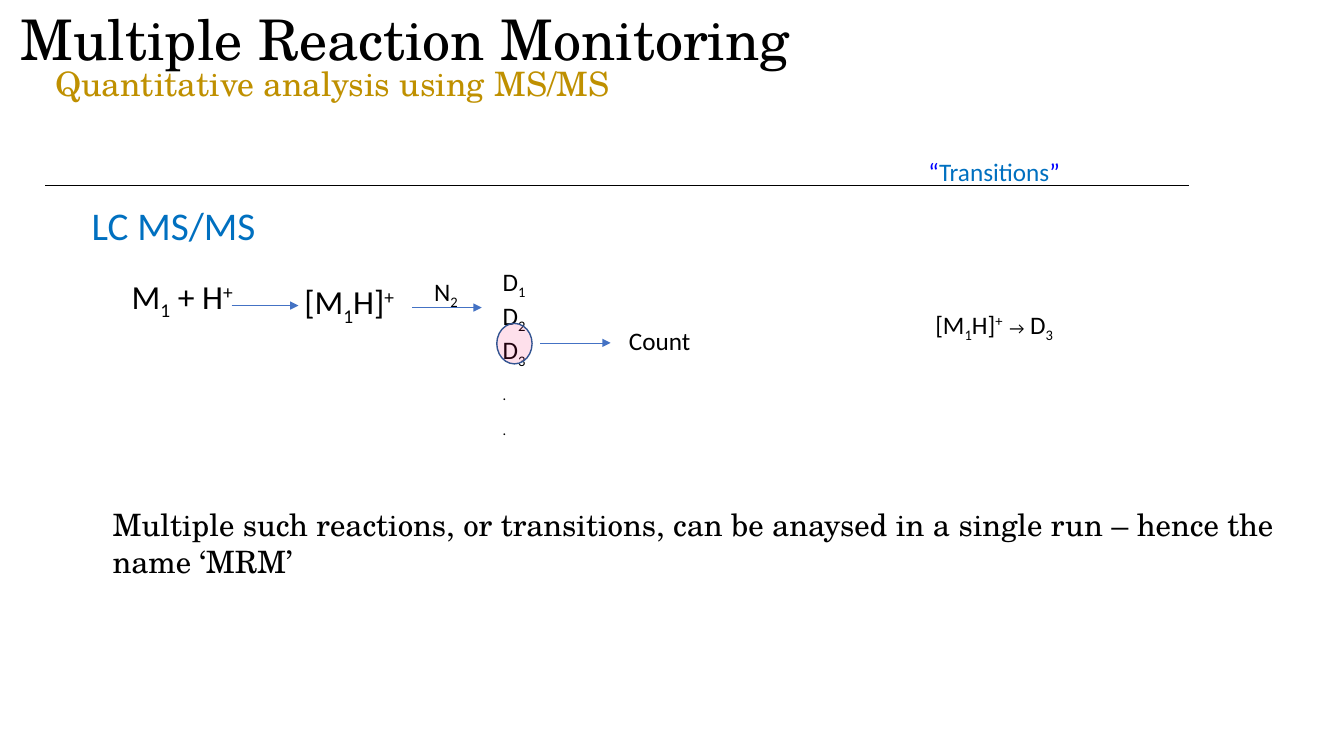
from pptx import Presentation, util as u
from pptx.dml.color import RGBColor
from pptx.enum import shapes, text
from pptx.oxml.ns import qn
from lxml import etree

COLORS = {"ink": "000000", "gold": "BF9000", "blue": "0070C0", "quote": "0000FF",
          "arrow": "4472C4", "ring": "325491", "pink": "F81068"}
SERIF, SANS = "TeX Gyre Schola", "Calibri"
SUB, SUP = {"base": -25}, {"base": 30}

# Content: a paragraph is a list of runs, each (text, format)
ION = [("[M", {}), ("1", SUB), ("H]", {})]
DAUGHTERS = [[("D", {}), (n, SUB)] for n in "123"] + [[(".", SUB)]] * 2
TRANSITIONS = [("“", {"color": "quote"}), ("Transitions", {"color": "blue"}),
               ("”", {"color": "quote"})]
MRM_PAIR = ION + [("+  ", SUP), ("→", {"size": 12}), (" D", {}), ("3", SUB)]

# (left, top, width, height) in cm, paragraphs, format
TEXTS = [
    ((0.28, 0, 21.72, 1.96), [[("Multiple Reaction Monitoring", {})]],
     {"size": 40, "font": SERIF}),
    ((1.14, 1.47, 17.07, 1.27), [[("Quantitative analysis using MS/MS", {})]],
     {"size": 24, "font": SERIF, "color": "gold"}),
    ((2.06, 5.08, 5.74, 1.35), [[("LC MS/MS", {})]],
     {"size": 28, "color": "blue", "spacing": 0.9, "before": 10}),
    ((3.07, 6.83, 3.53, 1.27), [[("M", {}), ("1", SUB), (" + H", {}), ("+", SUP)]],
     {"size": 24}),
    ((7.42, 6.96, 3.07, 1.27), [ION + [("+", SUP)]], {"size": 24}),
    ((10.69, 6.83, 1.14, 1.02), [[("N", {}), ("2", SUB)]], {"wrap": False}),
    ((12.42, 6.58, 1.12, 4.37), DAUGHTERS, {"wrap": False}),
    ((15.6, 8.08, 2.64, 1.02), [[("Count", {})]], {}),
    ((23.11, 3.81, 3.89, 1.02), [TRANSITIONS], {"center": True, "wrap": False}),
    ((23.11, 7.67, 3.89, 1.02), [MRM_PAIR], {"center": True, "wrap": False}),
    ((2.59, 12.62, 29.85, 4.01),
     [[("Multiple such reactions, or transitions, can be anaysed in a single run – "
        "hence the name ‘MRM’", {})]], {"size": 22, "font": SERIF}),
]

# Horizontal lines: start x, end x, y in cm, colour, arrowhead
LINES = [(1.14, 29.97, 4.67, "ink", False),
         (5.84, 7.52, 7.7, "arrow", True),
         (10.39, 12.14, 7.75, "arrow", True),
         (13.61, 15.39, 8.64, "arrow", True)]
RING = (12.52, 8.15, 0.89, 1.02)


def rgb(name):
    return RGBColor.from_string(COLORS[name])


def add_text(s, box, paragraphs, size=18, font=SANS, color="ink", center=False,
             wrap=True, spacing=None, before=None):
    tf = s.shapes.add_textbox(*map(u.Cm, box)).text_frame
    tf.word_wrap = wrap
    for i, runs in enumerate(paragraphs):
        p = tf.paragraphs[0] if i == 0 else tf.add_paragraph()
        if center:
            p.alignment = text.PP_ALIGN.CENTER
        if spacing:
            p.line_spacing = spacing
        if before:
            p.space_before = u.Pt(before)
        for words, fmt in runs:
            r = p.add_run()
            r.text = words
            r.font.name = font
            r.font.size = u.Pt(fmt.get("size", size))
            r.font.color.rgb = rgb(fmt.get("color", color))
            if "base" in fmt:
                r.font._element.set("baseline", str(fmt["base"] * 1000))


def add_line(s, x1, x2, y, color, arrow):
    sp = s.shapes.add_connector(shapes.MSO_CONNECTOR.STRAIGHT,
                                u.Cm(x1), u.Cm(y), u.Cm(x2), u.Cm(y))
    sp.line.color.rgb = rgb(color)
    sp.line.width = u.Pt(0.5)
    if arrow:
        etree.SubElement(sp.line._get_or_add_ln(), qn("a:tailEnd"), type="triangle")
    etree.SubElement(sp._element.spPr, qn("a:effectLst"))


def add_ring(s, box):
    sp = s.shapes.add_shape(shapes.MSO_SHAPE.OVAL, *map(u.Cm, box))
    sp.shadow.inherit = False
    sp.fill.solid()
    sp.fill.fore_color.rgb = rgb("pink")
    fill = sp._element.spPr.find(qn("a:solidFill"))
    etree.SubElement(fill[0], qn("a:alpha"), val="13000")
    sp.line.color.rgb = rgb("ring")
    sp.line.width = u.Pt(1)


def main():
    prs = Presentation()
    prs.slide_width, prs.slide_height = u.Cm(33.87), u.Cm(19.05)
    s = prs.slides.add_slide(prs.slide_layouts[6])
    # Headings, reaction terms and conclusion
    for box, paragraphs, fmt in TEXTS:
        add_text(s, box, paragraphs, **fmt)
    # Rule, reaction arrows and the ring on the counted ion
    for line in LINES:
        add_line(s, *line)
    add_ring(s, RING)
    prs.save("out.pptx")


if __name__ == "__main__":
    main()
